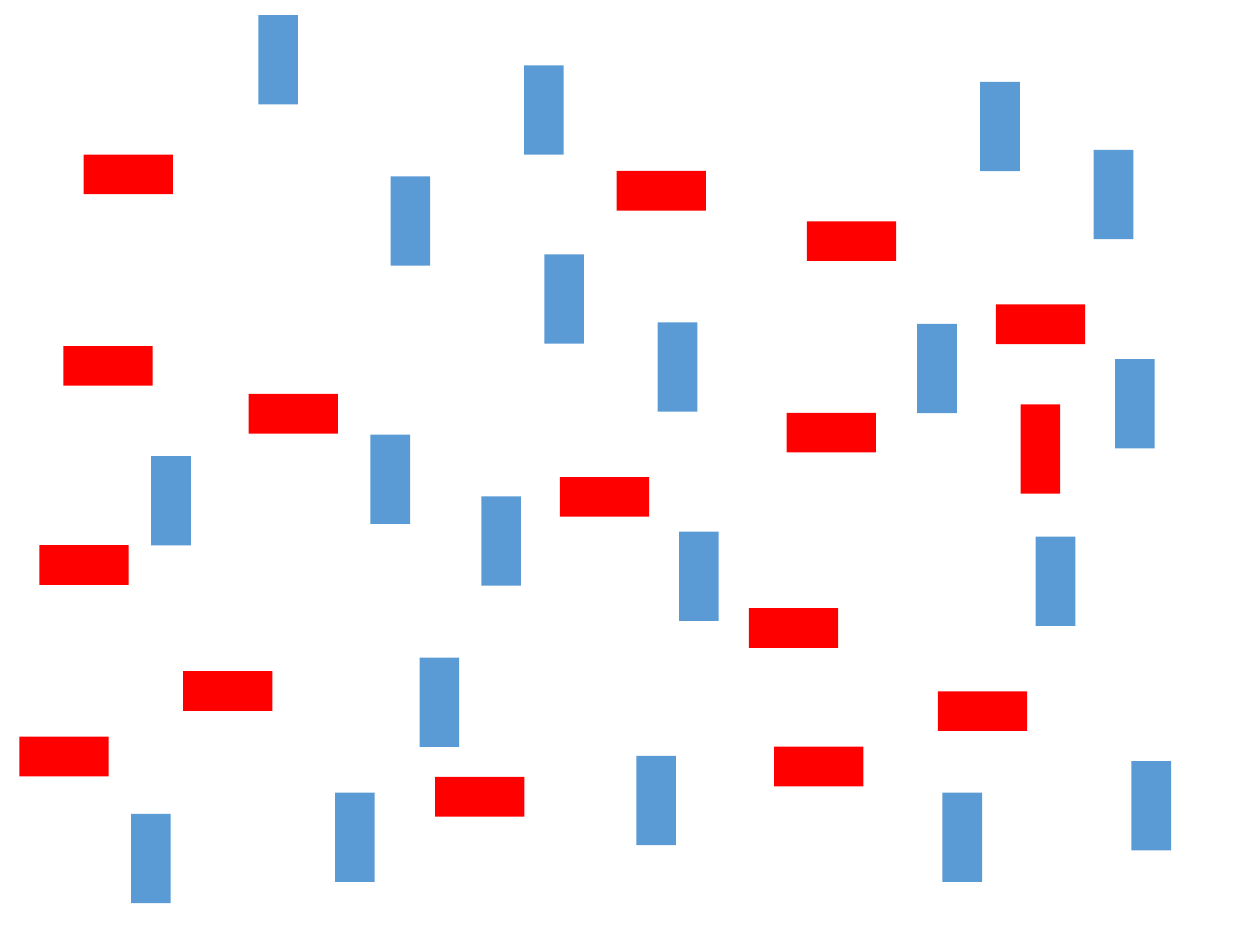
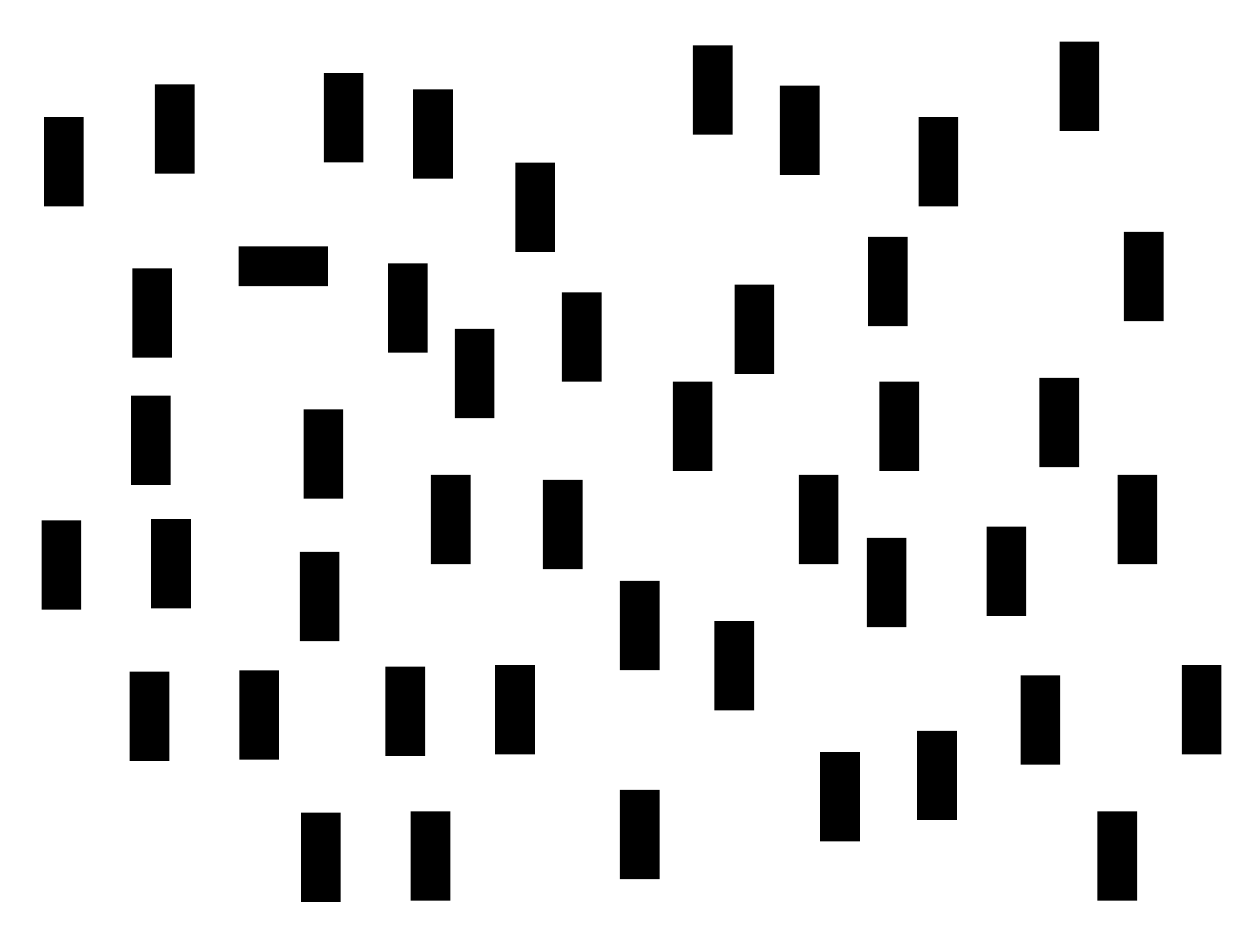
"""Build two visual search displays by stamping bar clusters and adding strays and a target."""
from collections.abc import Iterator
from dataclasses import dataclass

from pptx import Presentation
from pptx.dml.color import RGBColor
from pptx.enum.shapes import MSO_SHAPE as Shape
from pptx.slide import Slide
from pptx.util import Cm

COLOURS = {"red": "FF0000", "blue": "5B9BD5", "black": "000000"}
CM_PER_INCH = 2.54
PAGE_WIDTH, PAGE_HEIGHT = Cm(25.4), Cm(19.05)
BAR_WIDTH, BAR_HEIGHT = Cm(0.8), Cm(1.8)
BLANK_LAYOUT = 6

Point = tuple[float, float]


@dataclass(frozen=True)
class BarStyle:
    colour: str
    rotation: int = 0


@dataclass(frozen=True)
class Bar:
    style: BarStyle
    left: float
    top: float


@dataclass(frozen=True)
class Cluster:
    """Named bars, each placed by its offset from the anchor of a stamp."""
    members: dict[str, Bar]

    def stamp(self, anchor: Point, omit: tuple[str, ...] = ()) -> Iterator[Bar]:
        for name, bar in self.members.items():
            if name not in omit:
                yield Bar(bar.style, anchor[0] + bar.left, anchor[1] + bar.top)


def scatter(style: BarStyle, *corners: Point) -> Iterator[Bar]:
    for left, top in corners:
        yield Bar(style, left, top)


BLUE_UPRIGHT = BarStyle("blue")
RED_UPRIGHT = BarStyle("red")
RED_FLAT = BarStyle("red", rotation=90)
BLACK_UPRIGHT = BarStyle("black")
BLACK_FLAT = BarStyle("black", rotation=90)

RED_WITH_BLUE_RING = Cluster({
    "centre": Bar(RED_FLAT, 0, 0),
    "left": Bar(BLUE_UPRIGHT, -0.82, 0.35),
    "right": Bar(BLUE_UPRIGHT, 0.75, 0.63),
    "upper left": Bar(BLUE_UPRIGHT, -0.32, -1.57),
    "upper right": Bar(BLUE_UPRIGHT, 0.58, -1.03),
})
RED_STACK = Cluster({
    "upper": Bar(RED_FLAT, 0, 0),
    "lower": Bar(RED_FLAT, -0.16, 1.52),
})
BLACK_FIVE = Cluster({
    "right": Bar(BLACK_UPRIGHT, 0, 0),
    "left": Bar(BLACK_UPRIGHT, -2.03, 0.04),
    "upper right": Bar(BLACK_UPRIGHT, -0.51, -1.51),
    "upper left": Bar(BLACK_UPRIGHT, -2.73, -1.16),
    "lower": Bar(BLACK_UPRIGHT, -0.67, 1.16),
})


def conjunction_search() -> Iterator[Bar]:
    """Yield flat red and upright blue distractors, then the upright red target."""
    for anchor in ((4.64, 3.59), (8.1, 2.22)):
        yield from RED_WITH_BLUE_RING.stamp(anchor)
    for anchor in ((0.86, 1.03), (0.51, 4.13), (6.6, 1.56)):
        yield from RED_STACK.stamp(anchor)
    yield from scatter(
        RED_FLAT, (2.17, 2.93), (5.09, 1.16), (1.65, 5.13), (3.65, 5.97),
        (6.14, 4.63), (6.34, 5.73), (7.64, 5.29))
    yield from scatter(
        BLUE_UPRIGHT, (2.05, 0.12), (4.16, 0.52), (3.1, 1.4), (2.94, 3.45),
        (1.2, 3.62), (8.22, 4.26), (3.33, 5.22), (5.05, 6), (8.98, 6.04),
        (2.66, 6.29), (7.48, 6.29), (1.04, 6.46))
    yield from scatter(RED_UPRIGHT, (8.1, 3.21))


def orientation_search() -> Iterator[Bar]:
    """Yield upright black distractors, then the flat black target."""
    for anchor in ((6.34, 3.77), (3.93, 5.28), (8.92, 1.84), (3.08, 2.09)):
        yield from BLACK_FIVE.stamp(anchor)
    yield from BLACK_FIVE.stamp((6.01, 1.87), omit=("right", "left"))
    yield from BLACK_FIVE.stamp((9.38, 5.28), omit=("left", "upper left"))
    yield from BLACK_FIVE.stamp((3.06, 5.29), omit=("upper right",))
    yield from scatter(
        BLACK_UPRIGHT, (1.23, 0.67), (7.29, 0.93), (4.09, 1.29), (4.46, 2.32),
        (6.98, 3.03), (1.04, 3.14), (7.83, 4.18), (6.88, 4.27), (2.38, 4.38),
        (4.92, 4.61), (8.1, 5.36), (7.28, 5.8), (6.51, 5.97), (4.92, 6.27))
    yield from scatter(BLACK_FLAT, (2.09, 1.76))


def length(inches: float) -> Cm:
    return Cm(inches * CM_PER_INCH)


def draw_bar(page: Slide, bar: Bar) -> None:
    box = page.shapes.add_shape(
        Shape.RECTANGLE, length(bar.left), length(bar.top), BAR_WIDTH, BAR_HEIGHT)
    box.rotation = bar.style.rotation
    box.shadow.inherit = False
    box.fill.solid()
    box.fill.fore_color.rgb = RGBColor.from_string(COLOURS[bar.style.colour])
    box.line.fill.background()


def main() -> None:
    deck = Presentation()
    deck.slide_width, deck.slide_height = PAGE_WIDTH, PAGE_HEIGHT
    for display in (conjunction_search, orientation_search):
        page = deck.slides.add_slide(deck.slide_layouts[BLANK_LAYOUT])
        for bar in display():
            draw_bar(page, bar)
    deck.save("out.pptx")


if __name__ == "__main__":
    main()
